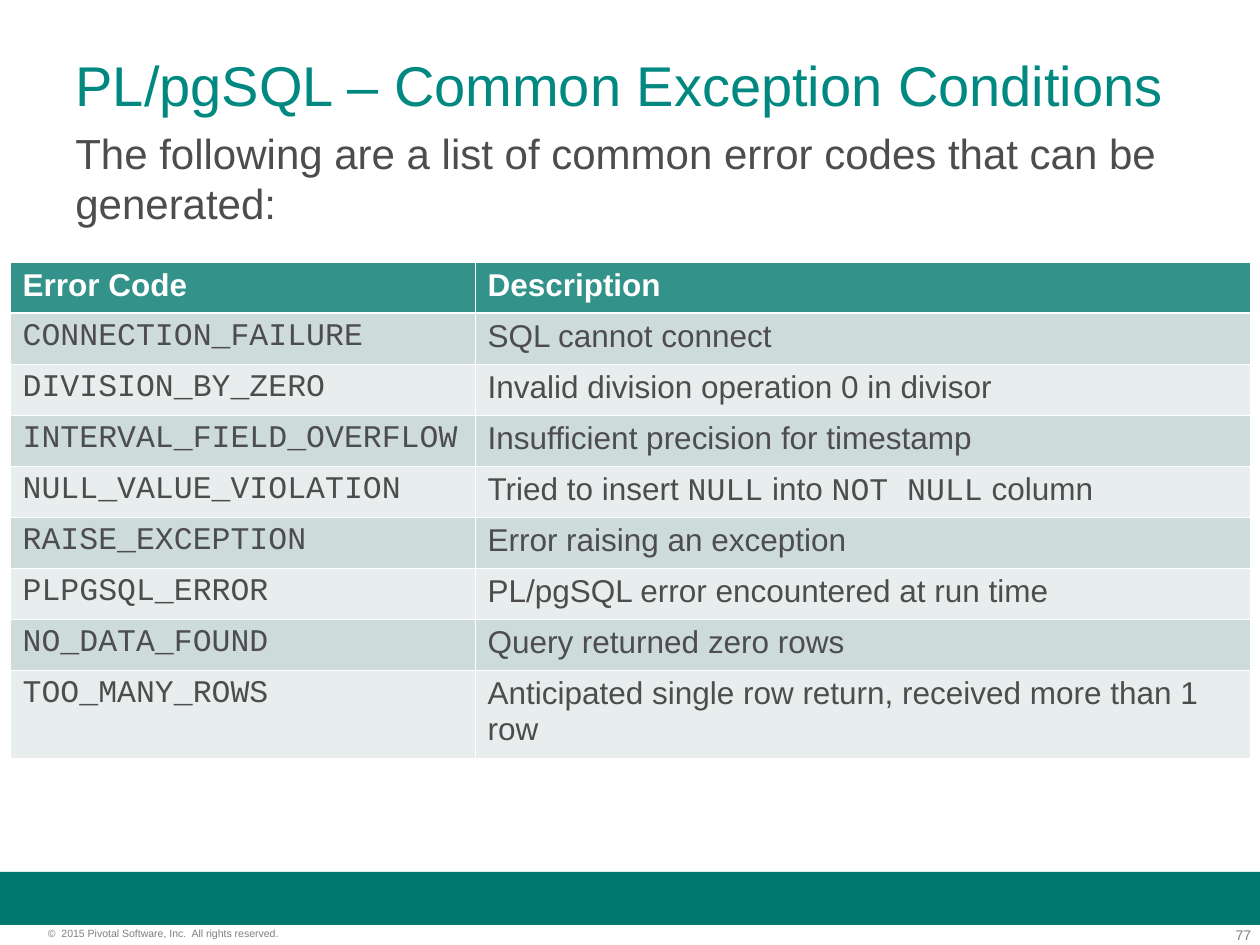
from typing import NamedTuple

from lxml import etree
from pptx import Presentation
from pptx.dml.color import RGBColor
from pptx.enum import shapes, text
from pptx.oxml import ns
from pptx.util import Inches, Pt

COLORS = {
    "white": "FFFFFF",
    "title": "008881",
    "body": "4D4D4D",
    "footer": "7F7F7F",
    "bar": "00786E",
    "header": "33928A",
    "odd row": "CDDCDA",
    "even row": "E8EEED",
}
BODY_FONT = "Arial"
CODE_FONT = "Courier New"
THIN, THICK = 0.45, 1.47

TABLE_HEIGHT = 3.94
LAST_ROW_HEIGHT = 0.7
COLUMN_WIDTHS = (3.69, 6.15)


class Box(NamedTuple):
    left: float
    top: float
    width: float
    height: float

    def lengths(self) -> list:
        return [Inches(value) for value in self]


class Label(NamedTuple):
    box: Box
    words: str
    size: float
    color: str
    margins: tuple = (0, 0, 0, 0)  # left, top, right, bottom
    alignment: text.PP_ALIGN = text.PP_ALIGN.LEFT


class ErrorCode(NamedTuple):
    code: str
    description: str  # code words stand between backticks


TITLE = Label(Box(0.5, 0.3, 9, 1.25), "PL/pgSQL – Common Exception Conditions",
              32, "title", (0.1, 0.1, 0.1, 0.05))
LABELS = [
    Label(Box(9.35, 7.35, 0.58, 0.13), "77", 8, "footer",
          alignment=text.PP_ALIGN.RIGHT),
    Label(Box(0.38, 7.36, 2.49, 0.1),
          "©  2015 Pivotal Software, Inc.  All rights reserved.", 6, "footer"),
    Label(Box(0.5, 0.93, 9, 4.95),
          "The following are a list of common error codes that can be generated:",
          24, "body", (0.1, 0.08, 0.1, 0.05)),
]
ERROR_CODES = [
    ErrorCode("CONNECTION_FAILURE", "SQL cannot connect"),
    ErrorCode("DIVISION_BY_ZERO", "Invalid division operation 0 in divisor"),
    ErrorCode("INTERVAL_FIELD_OVERFLOW", "Insufficient precision for timestamp"),
    ErrorCode("NULL_VALUE_VIOLATION",
              "Tried to insert `NULL` into `NOT NULL` column"),
    ErrorCode("RAISE_EXCEPTION", "Error raising an exception"),
    ErrorCode("PLPGSQL_ERROR", "PL/pgSQL error encountered at run time"),
    ErrorCode("NO_DATA_FOUND", "Query returned zero rows"),
    ErrorCode("TOO_MANY_ROWS",
              "Anticipated single row return, received more than 1 row"),
]


def rgb(name: str) -> RGBColor:
    return RGBColor.from_string(COLORS[name])


def format_font(font, size: float, color: str, name: str = BODY_FONT,
                bold: bool = False) -> None:
    font.name, font.size, font.bold = name, Pt(size), bold
    font.color.rgb = rgb(color)


def write_label(shape, label: Label) -> None:
    shape.left, shape.top, shape.width, shape.height = label.box.lengths()
    frame = shape.text_frame
    frame.text = label.words
    frame.word_wrap = True
    frame.auto_size = text.MSO_AUTO_SIZE.NONE
    frame.vertical_anchor = text.MSO_ANCHOR.TOP
    (frame.margin_left, frame.margin_top,
     frame.margin_right, frame.margin_bottom) = map(Inches, label.margins)
    paragraph = frame.paragraphs[0]
    paragraph.alignment = label.alignment
    format_font(paragraph.runs[0].font, label.size, label.color)


def add_bar(slide, box: Box) -> None:
    bar = slide.shapes.add_shape(shapes.MSO_SHAPE.RECTANGLE, *box.lengths())
    bar.shadow.inherit = False
    bar.fill.solid()
    bar.fill.fore_color.rgb = rgb("bar")
    bar.line.fill.background()


def set_borders(cell, top: float, bottom: float) -> None:
    """Draw white borders; call before the fill, which must follow them."""
    properties = cell._tc.get_or_add_tcPr()
    for side, width in (("L", THIN), ("R", THIN), ("T", top), ("B", bottom)):
        line = etree.SubElement(properties, ns.qn(f"a:ln{side}"), w=str(Pt(width)))
        fill = etree.SubElement(line, ns.qn("a:solidFill"))
        etree.SubElement(fill, ns.qn("a:srgbClr"), val=COLORS["white"])


def write_cell(cell, words: str, row: int) -> None:
    is_header = row == 0
    set_borders(cell, THICK if row == 1 else THIN, THICK if is_header else THIN)
    cell.fill.solid()
    stripe = "odd row" if row % 2 else "even row"
    cell.fill.fore_color.rgb = rgb("header" if is_header else stripe)
    paragraph = cell.text_frame.paragraphs[0]
    for index, part in enumerate(words.split("`")):
        if part:
            run = paragraph.add_run()
            run.text = part
            format_font(run.font, 18, "white" if is_header else "body",
                        CODE_FONT if index % 2 else BODY_FONT, is_header)


def add_error_table(slide, error_codes: list) -> None:
    rows = [("Error Code", "Description")]
    rows += [(f"`{error.code}`", error.description) for error in error_codes]
    box = Box(0.08, 2.08, sum(COLUMN_WIDTHS), TABLE_HEIGHT)
    table = slide.shapes.add_table(len(rows), 2, *box.lengths()).table
    for column, width in zip(table.columns, COLUMN_WIDTHS):
        column.width = Inches(width)
    row_height = (TABLE_HEIGHT - LAST_ROW_HEIGHT) / (len(rows) - 1)
    for row, words in enumerate(rows):
        table.rows[row].height = Inches(row_height)
        for column, cell_words in enumerate(words):
            write_cell(table.cell(row, column), cell_words, row)
    table.rows[len(rows) - 1].height = Inches(LAST_ROW_HEIGHT)


def main() -> None:
    presentation = Presentation()
    presentation.slide_width, presentation.slide_height = Inches(10), Inches(7.5)
    slide = presentation.slides.add_slide(presentation.slide_layouts[5])
    add_bar(slide, Box(0, 6.92, 10, 0.42))
    write_label(slide.shapes.title, TITLE)
    for label in LABELS:
        write_label(slide.shapes.add_textbox(*label.box.lengths()), label)
    add_error_table(slide, ERROR_CODES)
    presentation.save("out.pptx")


if __name__ == "__main__":
    main()
